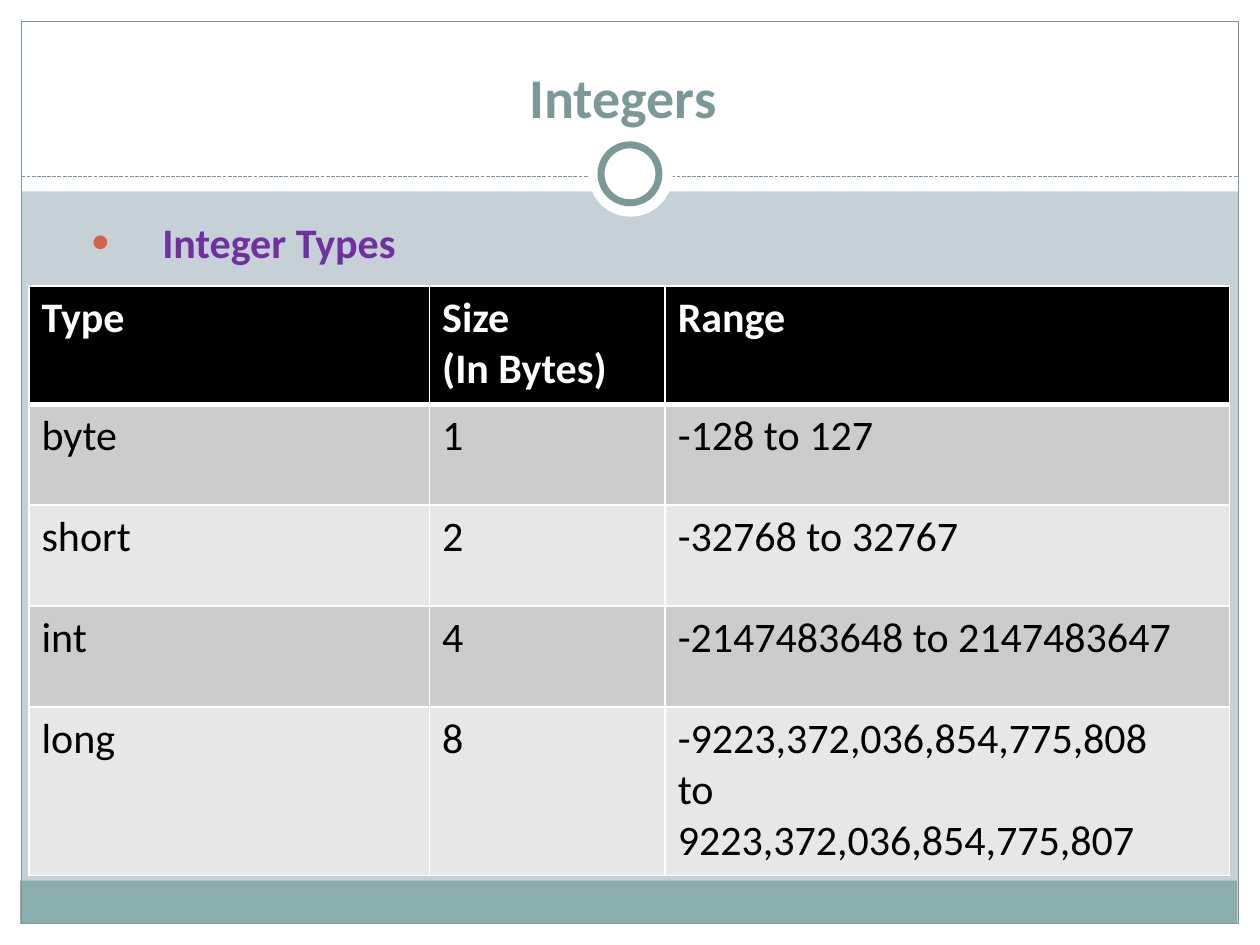
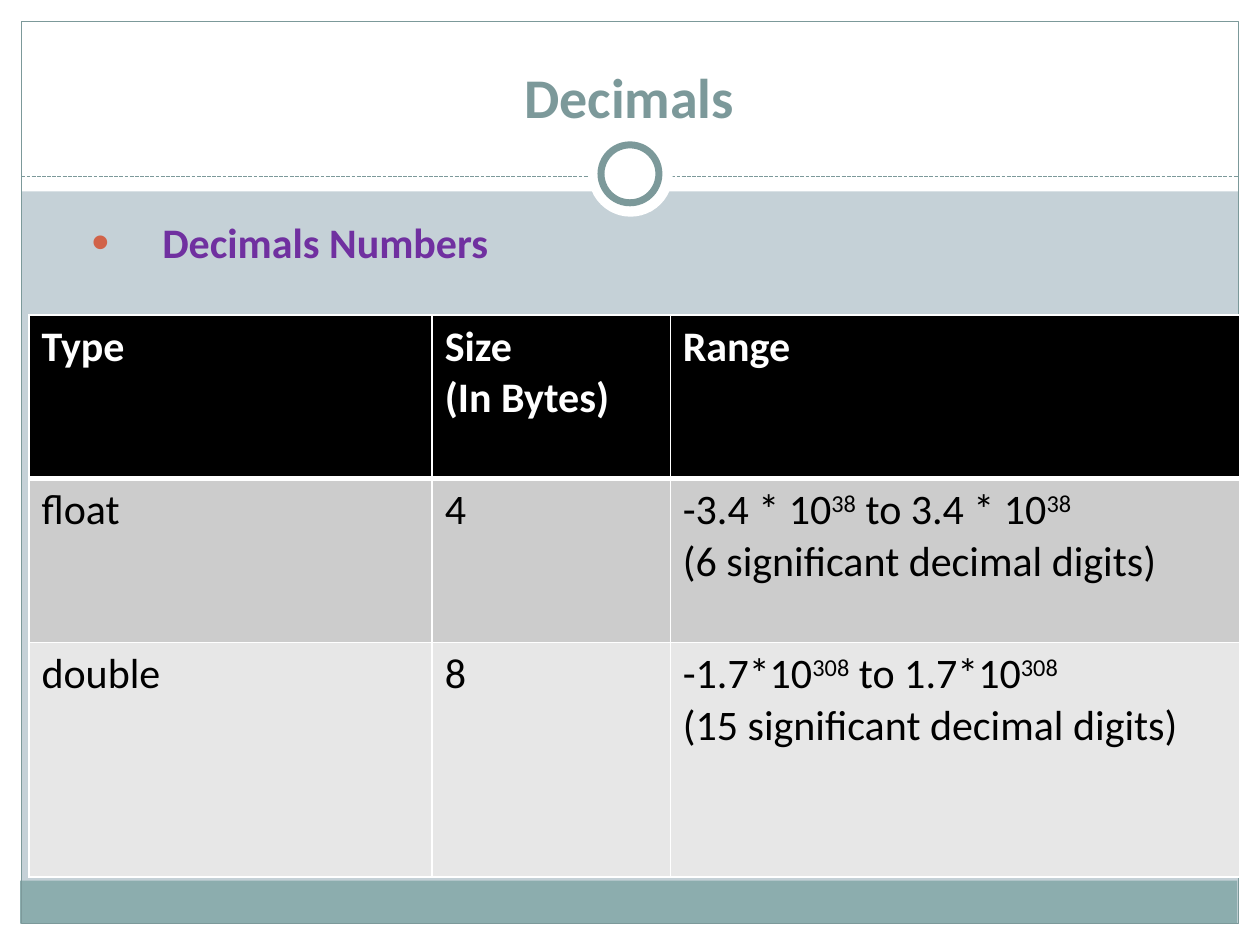
from dataclasses import dataclass

from lxml import etree
from pptx import Presentation
from pptx.dml.color import RGBColor
from pptx.enum.dml import MSO_LINE
from pptx.enum.shapes import MSO_CONNECTOR, MSO_SHAPE
from pptx.enum.text import MSO_ANCHOR, PP_ALIGN
from pptx.oxml.ns import qn
from pptx.util import Inches, Pt

RECTANGLE, OVAL = MSO_SHAPE.RECTANGLE, MSO_SHAPE.OVAL
STRAIGHT, DASHED = MSO_CONNECTOR.STRAIGHT, MSO_LINE.SQUARE_DOT
LEFT, CENTER = PP_ALIGN.LEFT, PP_ALIGN.CENTER
TITLE_ONLY = 5
FONT = "Calibri"
COLORS = {
    "background": "C5D1D7",
    "white": "FFFFFF",
    "black": "000000",
    "footer": "8CADAE",
    "accent": "7C999A",
    "bullet": "D16349",
    "heading": "7030A0",
    "band_dark": "CCCCCC",
    "band_light": "E7E7E7",
}
HEADER = ("Type", "Size\n(In Bytes)", "Range")
TABLE_LEFT = 0.23


@dataclass(frozen=True)
class FramePart:
    """A preset shape of the shared slide frame, in inches and points."""
    kind: int
    box: tuple[float, float, float, float]
    fill: str | None = None
    line: str | None = None
    line_width: float = 0.75


@dataclass(frozen=True)
class TypeSlide:
    """One slide with a table of types; ^ encloses a superscript."""
    title: str
    heading: str
    table_top: float
    column_widths: tuple[float, ...]
    row_heights: tuple[float, ...]
    rows: tuple[tuple[str, ...], ...]


FRAME_PARTS = (
    FramePart(RECTANGLE, (0, 7.33, 10, 0.17), "white"),
    FramePart(RECTANGLE, (0, 0, 10, 1.52), "white"),
    FramePart(RECTANGLE, (0, 0, 0.17, 7.5), "white"),
    FramePart(RECTANGLE, (9.83, 0, 0.17, 7.5), "white"),
    FramePart(RECTANGLE, (0.16, 6.99, 9.66, 0.34), "footer"),
    FramePart(RECTANGLE, (0.17, 0.17, 9.66, 7.16), line="accent"),
)
MEDALLION_PARTS = (
    FramePart(OVAL, (4.67, 1.05, 0.67, 0.67), "white"),
    FramePart(OVAL, (4.77, 1.15, 0.46, 0.46), "white", "accent", 4),
)

TYPE_SLIDES = (
    TypeSlide(
        "Integers ", "Integer Types", 2.27,
        (3.18, 1.87, 4.48), (0.94, 0.8, 0.8, 0.8, 1.34),
        (
            ("byte", "1", "-128 to 127"),
            ("short", "2", "-32768 to 32767"),
            ("int", "4", "-2147483648 to 2147483647"),
            ("long", "8",
             "-9223,372,036,854,775,808\nto\n9223,372,036,854,775,807"),
        ),
    ),
    TypeSlide(
        "Decimals", "Decimals Numbers", 2.5,
        (3.2, 1.89, 4.52), (1.3, 1.3, 1.86),
        (
            ("float", "4",
             "-3.4 * 10^38^ to 3.4 * 10^38^\n(6 significant decimal digits)"),
            ("double", "8",
             "-1.7*10^308^ to 1.7*10^308^\n(15 significant decimal digits)"),
        ),
    ),
)


def rgb(name: str) -> RGBColor:
    return RGBColor.from_string(COLORS[name])


def write_text(text_frame, text: str, *, color: str, size: float = 24,
               bold: bool = False, align=LEFT) -> None:
    """Fill a text frame, one paragraph a line, with ^superscripts^."""
    text_frame.word_wrap = True
    for index, line in enumerate(text.split("\n")):
        paragraph = (text_frame.add_paragraph() if index
                     else text_frame.paragraphs[0])
        paragraph.alignment = align
        for position, piece in enumerate(line.split("^")):
            if not piece:
                continue
            run = paragraph.add_run()
            run.text = piece
            run.font.name = FONT
            run.font.size = Pt(size)
            run.font.bold = bold
            run.font.color.rgb = rgb(color)
            if position % 2:
                run.font._element.set("baseline", "30000")


def add_part(slide, part: FramePart) -> None:
    shape = slide.shapes.add_shape(part.kind, *map(Inches, part.box))
    shape.shadow.inherit = False
    if part.fill:
        shape.fill.solid()
        shape.fill.fore_color.rgb = rgb(part.fill)
    else:
        shape.fill.background()
    if part.line:
        shape.line.color.rgb = rgb(part.line)
        shape.line.width = Pt(part.line_width)
    else:
        shape.line.fill.background()


def add_frame(slide) -> None:
    """Draw the bands, border, dashed divider and ring."""
    slide.background.fill.solid()
    slide.background.fill.fore_color.rgb = rgb("background")
    for part in FRAME_PARTS:
        add_part(slide, part)
    divider = slide.shapes.add_connector(
        STRAIGHT, Inches(0.17), Inches(1.4), Inches(9.83), Inches(1.4))
    divider.line.color.rgb = rgb("accent")
    divider.line.width = Pt(0.75)
    divider.line.dash_style = DASHED
    etree.SubElement(divider.element.spPr, qn("a:effectLst"))
    for part in MEDALLION_PARTS:
        add_part(slide, part)


def set_title(slide, text: str) -> None:
    title = slide.shapes.title
    title.left, title.top = Inches(0.33), Inches(0.25)
    title.width, title.height = Inches(9.33), Inches(0.83)
    title.text_frame.vertical_anchor = MSO_ANCHOR.BOTTOM
    write_text(title.text_frame, text, color="accent", size=32, bold=True,
               align=CENTER)
    # Bring the title in front of the white header band
    slide.shapes.element.append(title.element)


def add_heading(slide, text: str) -> None:
    box = slide.shapes.add_textbox(
        Inches(0.33), Inches(1.67), Inches(9.3), Inches(5.31))
    write_text(box.text_frame, text, color="heading", bold=True)
    paragraph = box.text_frame.paragraphs[0]
    paragraph.space_before = Pt(4.8)
    properties = paragraph._p.get_or_add_pPr()
    properties.set("marL", str(Inches(0.86)))
    properties.set("indent", str(Inches(-0.56)))
    bullet_color = etree.SubElement(properties, qn("a:buClr"))
    etree.SubElement(bullet_color, qn("a:srgbClr"), val=COLORS["bullet"])
    etree.SubElement(properties, qn("a:buSzPct"), val="120000")
    etree.SubElement(properties, qn("a:buFont"), typeface="Arial")
    etree.SubElement(properties, qn("a:buChar"), char="•")


def set_borders(cell, *, top: float = 1, bottom: float = 1) -> None:
    properties = cell._tc.get_or_add_tcPr()
    for side, width in (("L", 1), ("R", 1), ("T", top), ("B", bottom)):
        line = etree.SubElement(properties, qn(f"a:ln{side}"),
                                w=str(Pt(width)))
        fill = etree.SubElement(line, qn("a:solidFill"))
        etree.SubElement(fill, qn("a:srgbClr"), val=COLORS["white"])


def add_type_table(slide, content: TypeSlide) -> None:
    rows = (HEADER, *content.rows)
    table = slide.shapes.add_table(
        len(rows), len(HEADER), Inches(TABLE_LEFT), Inches(content.table_top),
        Inches(sum(content.column_widths)), Inches(sum(content.row_heights)),
    ).table
    for column, width in zip(table.columns, content.column_widths):
        column.width = Inches(width)
    for row, height in zip(table.rows, content.row_heights):
        row.height = Inches(height)

    for row_index, texts in enumerate(rows):
        is_header = row_index == 0
        band = "band_dark" if row_index % 2 else "band_light"
        for column_index, text in enumerate(texts):
            cell = table.cell(row_index, column_index)
            set_borders(cell, top=3 if row_index == 1 else 1,
                        bottom=3 if is_header else 1)
            cell.fill.solid()
            cell.fill.fore_color.rgb = rgb("black" if is_header else band)
            write_text(cell.text_frame, text, bold=is_header,
                       color="white" if is_header else "black")


def main() -> None:
    presentation = Presentation()
    presentation.slide_width = Inches(10)
    presentation.slide_height = Inches(7.5)
    for content in TYPE_SLIDES:
        slide = presentation.slides.add_slide(
            presentation.slide_layouts[TITLE_ONLY])
        add_frame(slide)
        set_title(slide, content.title)
        add_heading(slide, content.heading)
        add_type_table(slide, content)
    presentation.save("out.pptx")


if __name__ == "__main__":
    main()
